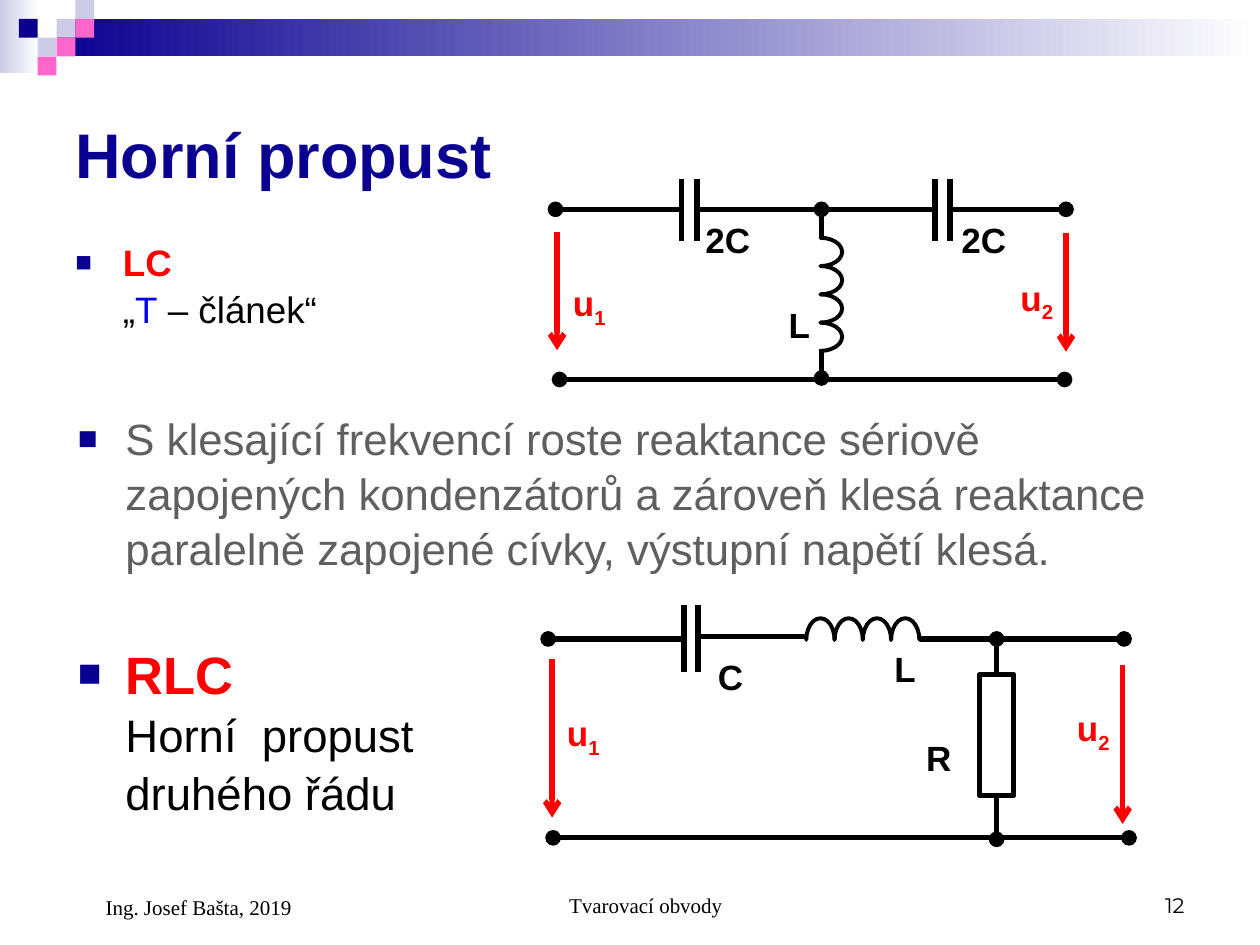
from lxml.etree import SubElement
from pptx import Presentation
from pptx.dml.color import RGBColor
from pptx.enum.shapes import MSO_CONNECTOR, MSO_SHAPE
from pptx.enum.text import MSO_ANCHOR, PP_ALIGN
from pptx.oxml.ns import qn
from pptx.util import Cm, Pt

NAVY = RGBColor(0x0B, 0x01, 0x91)
LILAC = RGBColor(0xCC, 0xCC, 0xE6)
PINK = RGBColor(0xFF, 0x66, 0xCC)
COIL = RGBColor(0xCB, 0xBD, 0xFF)
RED = RGBColor(0xFF, 0, 0)
BLUE = RGBColor(0, 0, 0xFF)
GREY = RGBColor(0x5F, 0x5F, 0x5F)
BLACK = RGBColor(0, 0, 0)
WHITE = RGBColor(0xFF, 0xFF, 0xFF)


def style(size, color, bold=False, name="Arial"):
    return {"size": Pt(size), "color": color, "bold": bold, "name": name}


FOOT = style(12, BLACK, name="Times New Roman")
MID, LOW = MSO_ANCHOR.MIDDLE, MSO_ANCHOR.BOTTOM

# All lengths are in centimetres.
# Header: left, top, width, height, start colour (fading to white)
BANDS = [(0, 0, 0.79, 1.47, LILAC), (1.14, 0.38, 24.26, 0.76, NAVY)]
CELL = 0.38
TILES = [(3, 1, LILAC), (4, 0, LILAC), (4, 1, PINK), (2, 2, LILAC),
         (1, 1, NAVY), (3, 2, PINK), (2, 3, PINK)]  # column, row, colour

# Text: box, runs, paragraph options
TEXTS = [
    ((1.27, 1.57, 9.7, 3.05), [("Horní propust", style(36, NAVY, True))],
     {"anchor": MID}),
    ((1.32, 8.13, 22.86, 3.61),
     [("S klesající frekvencí roste reaktance sériově zapojených "
       "kondenzátorů a zároveň klesá reaktance paralelně zapojené cívky, "
       "výstupní napětí klesá.", style(25, GREY))], {"bullet": True}),
    ((1.27, 4.67, 8.89, 2.97),
     [("LC\n", style(21, RED, True)), ("„", style(21, BLACK)),
      ("T", style(21, BLUE)), (" – článek“", style(21, BLACK))],
     {"bullet": True}),
    ((1.32, 12.75, 8.89, 4.75),
     [("RLC\n", style(30, RED, True)),
      ("Horní  propust druhého řádu", style(26, BLACK))], {"bullet": True}),
    ((8.69, 17.35, 8.05, 1.27), [("Tvarovací obvody", FOOT)],
     {"anchor": LOW, "align": PP_ALIGN.CENTER, "left": 0.61}),
    ((18.21, 17.35, 5.92, 1.27), [("12", style(12, BLACK, name="Montserrat"))],
     {"anchor": LOW, "align": PP_ALIGN.RIGHT}),
    ((1.27, 17.35, 5.92, 1.32), [("Ing. Josef Bašta, 2019", FOOT)],
     {"anchor": LOW, "left": 0.61}),
]

# Circuits. wires: x1, y1, x2, y2, dots at "s"tart and "e"nd;
# plates: x, top, bottom; drops: x, top, bottom of the voltage arrows;
# coil: centre of first turn, step; labels: text, subscript, left, top
T_PART = {
    "wires": [(11.2, 4.22, 13.74, 4.22, "s"), (14.05, 4.22, 18.85, 4.22, ""),
              (19.15, 4.22, 21.49, 4.22, "e"), (16.56, 4.22, 16.56, 4.8, "s"),
              (16.56, 7.04, 16.56, 7.62, "e"),
              (11.28, 7.65, 21.46, 7.65, "se")],
    "plates": [(x, 3.61, 4.85) for x in (13.74, 14.05, 18.85, 19.15)],
    "drops": [(11.23, 4.67, 7.06), (21.49, 4.7, 7.09)],
    "coil": (16.54, 5.08, 0, 0.57),
    "labels": [("L", "", 15.65, 5.99), ("2C", "", 13.97, 4.29),
               ("2C", "", 19.13, 4.29), ("u", "1", 11.3, 5.56),
               ("u", "2", 20.32, 5.44)],
}
RLC_PART = {
    "wires": [(11.05, 12.88, 13.74, 12.88, "s"), (14.1, 12.83, 16.26, 12.83, ""),
              (18.54, 12.88, 22.66, 12.88, "e"),
              (20.09, 12.88, 20.09, 14.27, "s"),
              (20.09, 15.21, 20.09, 16.92, "e"),
              (11.15, 16.89, 22.76, 16.89, "se")],
    "plates": [(x, 12.19, 13.54) for x in (13.79, 14.07)],
    "drops": [(11.13, 13.28, 16.48), (22.63, 13.41, 16.61)],
    "coil": (16.54, 12.9, 0.57, 0),
    "box": (19.75, 13.6, 0.69, 2.44),
    "labels": [("L", "", 17.78, 12.93), ("C", "", 14.22, 13.08),
               ("R", "", 18.42, 14.73), ("u", "1", 11.18, 14.22),
               ("u", "2", 21.46, 14.12)],
}
TURNS, TURN_W, TURN_H = 4, 0.57, 0.87

deck = Presentation()
deck.slide_width, deck.slide_height = Cm(25.4), Cm(19.05)
slide = deck.slides.add_slide(deck.slide_layouts[6])
shapes = slide.shapes


def add_form(kind, box, fill, line=None, width=3):
    form = shapes.add_shape(kind, *map(Cm, box))
    form.shadow.inherit = False
    form.fill.solid()
    form.fill.fore_color.rgb = fill
    if line is None:
        form.line.fill.background()
    else:
        form.line.color.rgb = line
        form.line.width = Pt(width)
    return form


def add_wire(x1, y1, x2, y2, color=BLACK, head=None, tail=None):
    wire = shapes.add_connector(MSO_CONNECTOR.STRAIGHT,
                                *map(Cm, (x1, y1, x2, y2)))
    wire.line.color.rgb = color
    wire.line.width = Pt(3)
    line = wire.line._get_or_add_ln()
    for tag, end in (("a:headEnd", head), ("a:tailEnd", tail)):
        if end:
            SubElement(line, qn(tag), type=end)
    SubElement(wire._element.spPr, qn("a:effectLst"))


def add_run(para, text, look):
    run = para.add_run()
    run.text = text
    for key, value in look.items():
        if key == "color":
            run.font.color.rgb = value
        else:
            setattr(run.font, key, value)
    return run


def add_bullet(para):
    props = para._p.get_or_add_pPr()
    props.set("marL", str(Cm(0.96)))
    props.set("indent", str(-Cm(0.96)))
    tint = SubElement(props, qn("a:buClr"))
    SubElement(tint, qn("a:srgbClr"), val=str(NAVY))
    SubElement(props, qn("a:buSzPct"), val="75000")
    SubElement(props, qn("a:buFont"), typeface="Arial")
    SubElement(props, qn("a:buChar"), char="■")


def add_text(box, runs, anchor=MSO_ANCHOR.TOP, align=PP_ALIGN.LEFT,
             left=0, bullet=False):
    frame = shapes.add_textbox(*map(Cm, box)).text_frame
    frame.word_wrap = True
    frame.vertical_anchor = anchor
    para = frame.paragraphs[0]
    para.alignment = align
    if bullet:
        para.line_spacing = 1.05
        add_bullet(para)
    elif left:
        para._p.get_or_add_pPr().set("marL", str(Cm(left)))
    for text, look in runs:
        add_run(para, text.rstrip("\n"), look)
        if text.endswith("\n"):
            para.add_line_break()
    return para


def add_circuit(part):
    for *ends, dots in part["wires"]:
        add_wire(*ends, head="oval" if "s" in dots else None,
                 tail="oval" if "e" in dots else None)
    for x, top, base in part["plates"]:
        add_wire(x, top, x, base)
    for x, top, base in part["drops"]:
        add_wire(x, top, x, base, RED, tail="arrow")
    x, y, dx, dy = part["coil"]
    for i in range(TURNS):
        spot = (x + i * dx - TURN_W / 2, y + i * dy - TURN_H / 2)
        turn = add_form(MSO_SHAPE.BLOCK_ARC, (*spot, TURN_W, TURN_H),
                        COIL, BLACK, 2.25)
        for n, value in enumerate((107.89, 0.11, 0)):
            turn.adjustments[n] = value
        turn.rotation = 90 if dy else 0
    if "box" in part:
        add_form(MSO_SHAPE.RECTANGLE, part["box"], WHITE, BLACK)
    for text, sub, left, top in part["labels"]:
        look = style(20, RED if sub else BLACK, True)
        para = add_text((left, top, 1.5, 1.12), [(text, look)])
        if sub:
            run = add_run(para, sub, look)
            run._r.get_or_add_rPr().set("baseline", "-25000")


for *box, color in BANDS:
    band = add_form(MSO_SHAPE.RECTANGLE, box, color)
    band.fill.gradient()
    band.fill.gradient_angle = 0
    for stop, tone in zip(band.fill.gradient_stops, (color, WHITE)):
        stop.color.rgb = tone
for col, row, color in TILES:
    add_form(MSO_SHAPE.RECTANGLE, (col * CELL, row * CELL, CELL, CELL), color)
for box, runs, options in TEXTS:
    add_text(box, runs, **options)
for part in (T_PART, RLC_PART):
    add_circuit(part)
deck.save("out.pptx")
